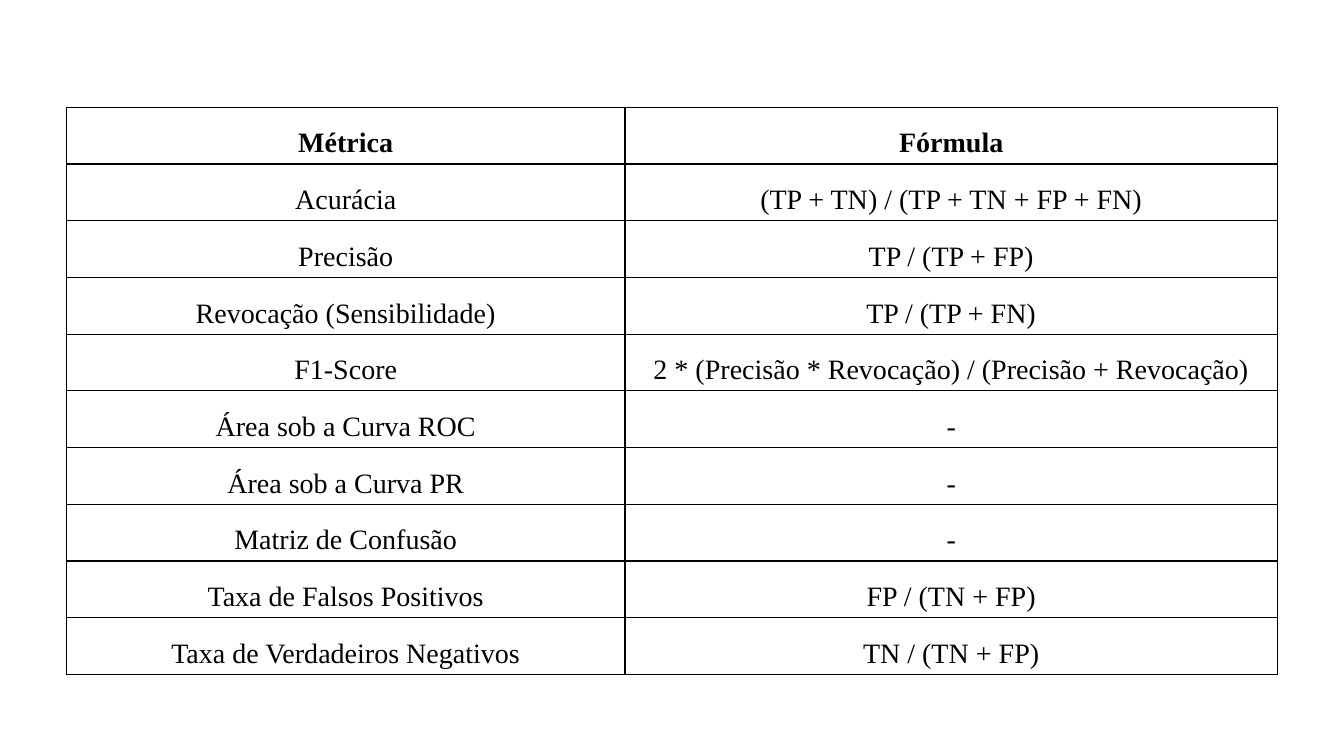
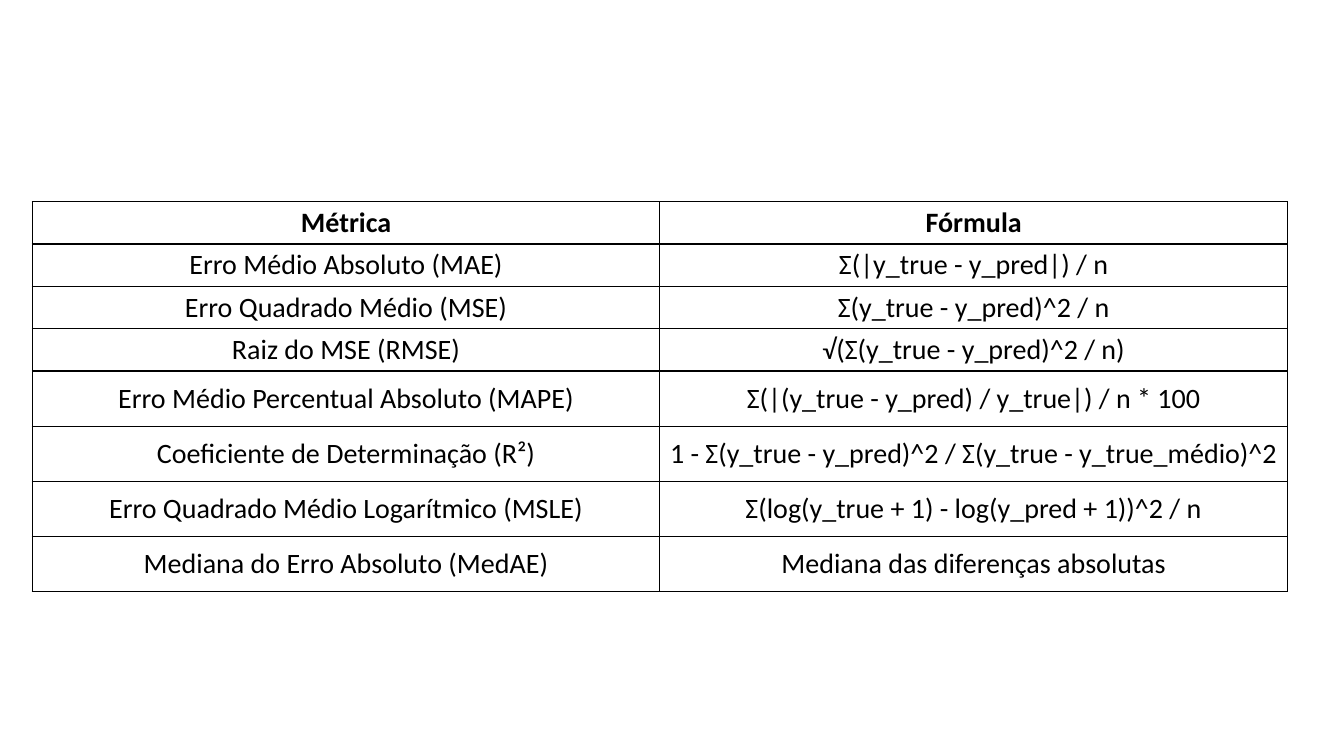
from dataclasses import dataclass

from lxml import etree
from pptx import Presentation
from pptx.dml.color import RGBColor
from pptx.enum.text import MSO_ANCHOR, PP_ALIGN
from pptx.oxml.ns import qn
from pptx.util import Inches, Pt

CENTER = PP_ALIGN.CENTER
MIDDLE = MSO_ANCHOR.MIDDLE
WIDE, HIGH = Inches(13.33), Inches(7.5)
BLANK = 6


@dataclass(frozen=True)
class Theme:
    ink: str = "000000"
    paper: str = "FFFFFF"
    size: int = 20
    rule: int = 1
    serif: str = "Times New Roman"
    sans: str = "Calibri"


THEME = Theme()
HEADS = ("Métrica", "Fórmula")

CLASSES = (
    ("Acurácia", "(TP + TN) / (TP + TN + FP + FN)"),
    ("Precisão", "TP / (TP + FP)"),
    ("Revocação (Sensibilidade)", "TP / (TP + FN)"),
    ("F1-Score", "2 * (Precisão * Revocação) / (Precisão + Revocação)"),
    ("Área sob a Curva ROC", "-"),
    ("Área sob a Curva PR", "-"),
    ("Matriz de Confusão", "-"),
    ("Taxa de Falsos Positivos", "FP / (TN + FP)"),
    ("Taxa de Verdadeiros Negativos", "TN / (TN + FP)"),
)

ERRORS = (
    ("Erro Médio Absoluto (MAE)", "Σ(|y_true - y_pred|) / n"),
    ("Erro Quadrado Médio (MSE)", "Σ(y_true - y_pred)^2 / n"),
    ("Raiz do MSE (RMSE)", "√(Σ(y_true - y_pred)^2 / n)"),
    ("Erro Médio Percentual Absoluto (MAPE)",
     "Σ(|(y_true - y_pred) / y_true|) / n * 100"),
    ("Coeficiente de Determinação (R²)",
     "1 - Σ(y_true - y_pred)^2 / Σ(y_true - y_true_médio)^2"),
    ("Erro Quadrado Médio Logarítmico (MSLE)",
     "Σ(log(y_true + 1) - log(y_pred + 1))^2 / n"),
    ("Mediana do Erro Absoluto (MedAE)", "Mediana das diferenças absolutas"),
)


def across(share):
    """Turn a percentage of the slide's width into a length."""
    return round(WIDE * share / 100)


def down(share):
    """Turn a percentage of the slide's height into a length."""
    return round(HIGH * share / 100)


def write(frame, text, font=THEME.sans, bold=False, space=1.0):
    para = frame.paragraphs[0]
    para.alignment = CENTER
    para.line_spacing = space
    run = para.add_run()
    run.text = text
    run.font.name = font
    run.font.size = Pt(THEME.size)
    run.font.bold = bold
    run.font.color.rgb = RGBColor.from_string(THEME.ink)


def frame_cell(cell):
    """Rule all four sides of a cell, then fill it."""
    props = cell._tc.get_or_add_tcPr()
    for side in ("a:lnL", "a:lnR", "a:lnT", "a:lnB"):
        line = etree.SubElement(props, qn(side), w=str(Pt(THEME.rule)))
        fill = etree.SubElement(line, qn("a:solidFill"))
        etree.SubElement(fill, qn("a:srgbClr"), val=THEME.ink)
    cell.fill.solid()
    cell.fill.fore_color.rgb = RGBColor.from_string(THEME.paper)


def add_grid(slide, body, left, top, cols, rows, pad, **style):
    """Place a table; left, top, cols and rows are shares of the slide."""
    data = (HEADS, *body)
    shape = slide.shapes.add_table(
        len(data), len(cols), across(left), down(top),
        across(sum(cols)), down(sum(rows)))
    table = shape.table
    table.first_row = table.horz_banding = False
    for col, share in zip(table.columns, cols):
        col.width = across(share)
    for row, share, texts in zip(table.rows, rows, data):
        row.height = down(share)
        for cell, text in zip(row.cells, texts):
            cell.vertical_anchor = MIDDLE
            cell.margin_left = cell.margin_right = Inches(2 * pad)
            cell.margin_top = cell.margin_bottom = Inches(pad)
            frame_cell(cell)
            write(cell.text_frame, text, bold=texts is HEADS, **style)


def main():
    deck = Presentation()
    deck.slide_width, deck.slide_height = WIDE, HIGH
    layout = deck.slide_layouts[BLANK]
    add_grid(deck.slides.add_slide(layout), CLASSES, left=4.95, top=14.2,
             cols=(41.55, 48.55), rows=[7.16] * 10, pad=0.05,
             font=THEME.serif, space=1.5)
    add_grid(deck.slides.add_slide(layout), ERRORS, left=2.4, top=26.67,
             cols=[46.7] * 2, rows=[5.5] * 4 + [7.3] * 4, pad=0.04)
    deck.save("out.pptx")


if __name__ == "__main__":
    main()
